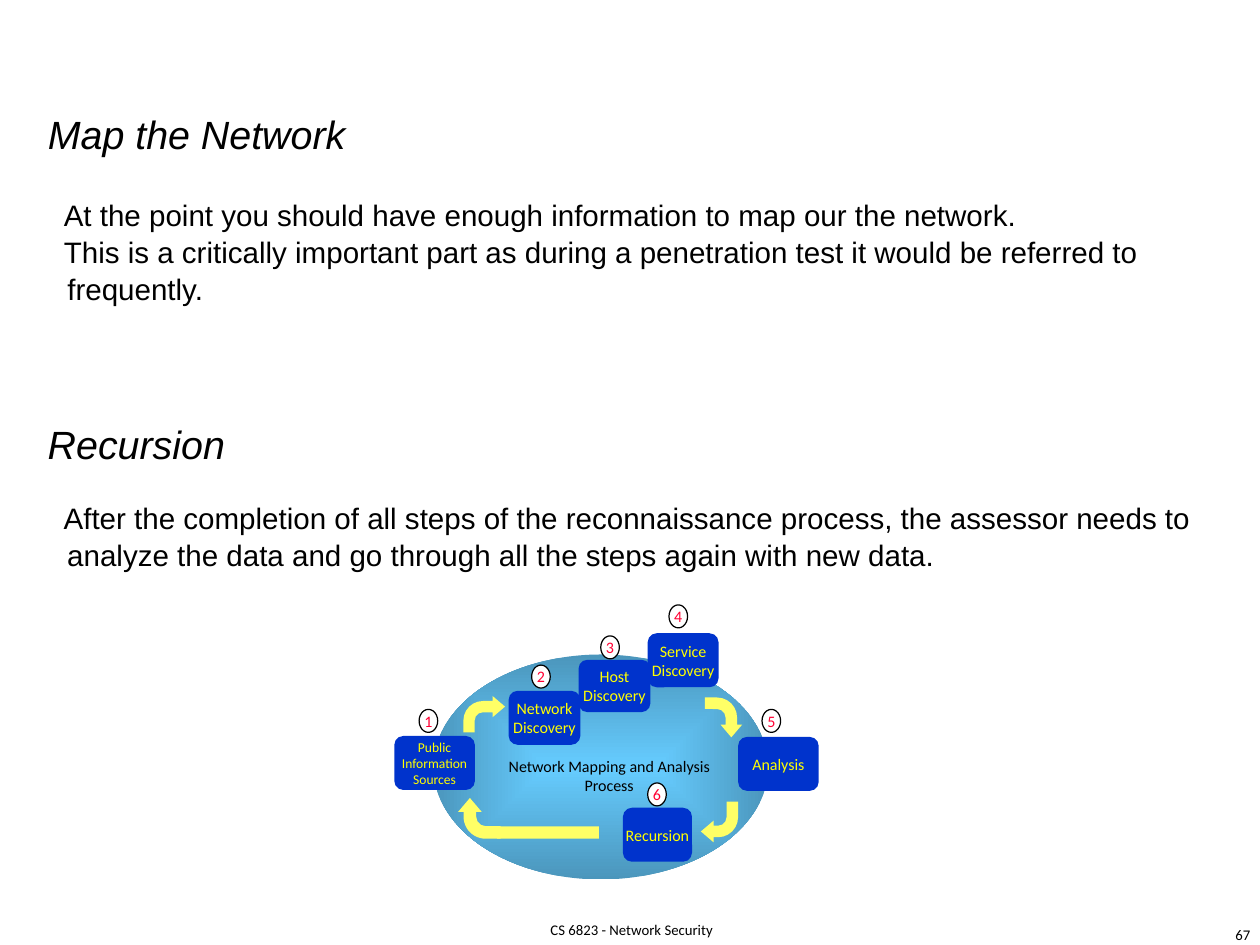
from pptx import Presentation
from pptx.dml.color import RGBColor
from pptx.enum.shapes import MSO_SHAPE
from pptx.enum.text import MSO_ANCHOR, MSO_AUTO_SIZE, PP_ALIGN
from pptx.oxml import parse_xml
from pptx.oxml.ns import nsdecls, qn
from pptx.util import Emu, Pt

EMU_PER_PX = 9144  # 100 px to the inch
ELLIPSE, BOX, BAR = MSO_SHAPE.OVAL, MSO_SHAPE.ROUNDED_RECTANGLE, MSO_SHAPE.RECTANGLE
BENT_ARROW = MSO_SHAPE.BENT_ARROW
LEFT, CENTER, RIGHT = PP_ALIGN.LEFT, PP_ALIGN.CENTER, PP_ALIGN.RIGHT
TOP, MIDDLE = MSO_ANCHOR.TOP, MSO_ANCHOR.MIDDLE
NO_AUTOFIT = MSO_AUTO_SIZE.NONE

COLORS = {
    "text": "000000", "paper": "FFFFFF", "box": "0033CC", "box_text": "FFFF00",
    "number": "FF0033", "arrow": "FFFF66", "glow": "66CCFF", "rim": "4B96BC",
}


def px(value):
    return Emu(value * EMU_PER_PX)


def color(name):
    return RGBColor.from_string(COLORS[name])


class SlideBuilder:
    heading_font = "Arial"
    label_font = "Calibri"

    def __init__(self, slide):
        self.slide = slide

    def set_text(self, shape, lines, size, ink="text", font=label_font,
                 align=CENTER, anchor=MIDDLE, wrap=False, hanging=False, italic=False):
        frame = shape.text_frame
        frame.text = "\n".join(lines)
        frame.auto_size = NO_AUTOFIT
        frame.word_wrap = wrap
        frame.vertical_anchor = anchor
        for paragraph in frame.paragraphs:
            paragraph.alignment = align
            paragraph.space_before = Pt(0)
            if hanging:
                paragraph.line_spacing = 1.05
                properties = paragraph._p.get_or_add_pPr()
                properties.set("marL", str(px(4)))
                properties.set("indent", str(px(-4)))
                properties.append(parse_xml(f"<a:buNone {nsdecls('a')}/>"))
            for run in paragraph.runs:
                run.font.name = font
                run.font.size = Pt(size)
                run.font.italic = italic
                run.font.color.rgb = color(ink)

    def place(self, holder, area):
        holder.left, holder.top, holder.width, holder.height = map(px, area)

    def text_box(self, area):
        return self.slide.shapes.add_textbox(*map(px, area))

    def label(self, area, lines, size, **style):
        box = self.text_box(area)
        self.set_text(box, lines, size, **style)
        return box

    def section(self, top, body_top, heading, points, heading_holder=None, body_holder=None):
        heading_area, body_area = (44, top, 1280, 66), (62, body_top, 1315, 185)
        heading_holder = heading_holder or self.text_box(heading_area)
        body_holder = body_holder or self.text_box(body_area)
        self.place(heading_holder, heading_area)
        self.place(body_holder, body_area)
        style = dict(font=self.heading_font, align=LEFT, anchor=TOP, wrap=True, hanging=True)
        self.set_text(heading_holder, [heading], 32, italic=True, **style)
        self.set_text(body_holder, points, 24, **style)

    def shape(self, kind, area, fill, line=None):
        shape = self.slide.shapes.add_shape(kind, *map(px, area))
        shape.shadow.inherit = False
        shape.fill.solid()
        shape.fill.fore_color.rgb = color(fill)
        if line:
            shape.line.color.rgb = color(line)
            shape.line.width = Pt(1)
        else:
            shape.line.fill.background()
        return shape

    def glowing_ellipse(self, area):
        ellipse = self.shape(ELLIPSE, area, "rim")
        ellipse.fill.gradient()
        for stop, name in zip(ellipse.fill.gradient_stops, ("glow", "rim")):
            stop.color.rgb = color(name)
        gradient = ellipse._element.spPr.find(qn("a:gradFill"))
        gradient.replace(gradient.find(qn("a:lin")), parse_xml(
            f'<a:path {nsdecls("a")} path="shape">'
            '<a:fillToRect l="50000" t="50000" r="50000" b="50000"/></a:path>'))

    def bent_arrow(self, area, rotation):
        arrow = self.shape(BENT_ARROW, area, "arrow")
        arrow.rotation = rotation
        for index, share in enumerate((0.31, 0.29, 0.34, 0.54)):
            arrow.adjustments[index] = share

    def step(self, number, badge_corner, area, lines, size):
        box = self.shape(BOX, area, "box")
        self.set_text(box, lines, size, ink="box_text")
        badge = self.shape(ELLIPSE, (*badge_corner, 21, 26), "paper", line="text")
        self.set_text(badge, [str(number)], 13, ink="number")


def main():
    deck = Presentation()
    deck.slide_width, deck.slide_height = px(1422), px(1067)
    slide = deck.slides.add_slide(deck.slide_layouts[1])
    builder = SlideBuilder(slide)

    # Text sections
    builder.section(
        117, 215, "Map the Network",
        ["At the point you should have enough information to map our the network.",
         "This is a critically important part as during a penetration test it would be "
         "referred to frequently."],
        slide.shapes.title, slide.placeholders[1])
    builder.section(
        467, 558, "Recursion",
        ["After the completion of all steps of the reconnaissance process, the assessor "
         "needs to analyze the data and go through all the steps again with new data."])

    # Page number and footer
    builder.label((1378, 1040, 43, 26), ["67"], 12, align=RIGHT, anchor=TOP)
    footer = builder.label((608, 1040, 210, 19), ["CS 6823 - Network Security"], 12, wrap=True)
    frame = footer.text_frame
    frame.margin_left = frame.margin_right = frame.margin_top = frame.margin_bottom = 0

    # Process cycle
    builder.glowing_ellipse((489, 739, 378, 254))
    for area, rotation in (((523, 786, 47, 41), 0), ((794, 789, 45, 42), 90),
                           ((791, 905, 42, 46), 180), ((518, 900, 46, 48), 270)):
        builder.bent_arrow(area, rotation)
    builder.shape(BAR, (561, 933, 115, 14), "arrow")

    # Numbered steps, from back to front
    for step in (
        (1, (473, 801), (445, 831, 91, 61), ["Public", "Information", "Sources"], 11),
        (6, (731, 884), (703, 912, 78, 61), ["Recursion"], 13),
        (4, (755, 683), (731, 715, 80, 61), ["Service", "Discovery"], 13),
        (3, (678, 718), (653, 745, 81, 59), ["Host", "Discovery"], 13),
        (2, (600, 751), (574, 780, 81, 61), ["Network", "Discovery"], 13),
        (5, (860, 801), (833, 832, 91, 61), ["Analysis"], 13),
    ):
        builder.step(*step)
    builder.label((564, 849, 247, 54), ["Network Mapping and Analysis", "Process"], 13, anchor=TOP)

    deck.save("out.pptx")


if __name__ == "__main__":
    main()
